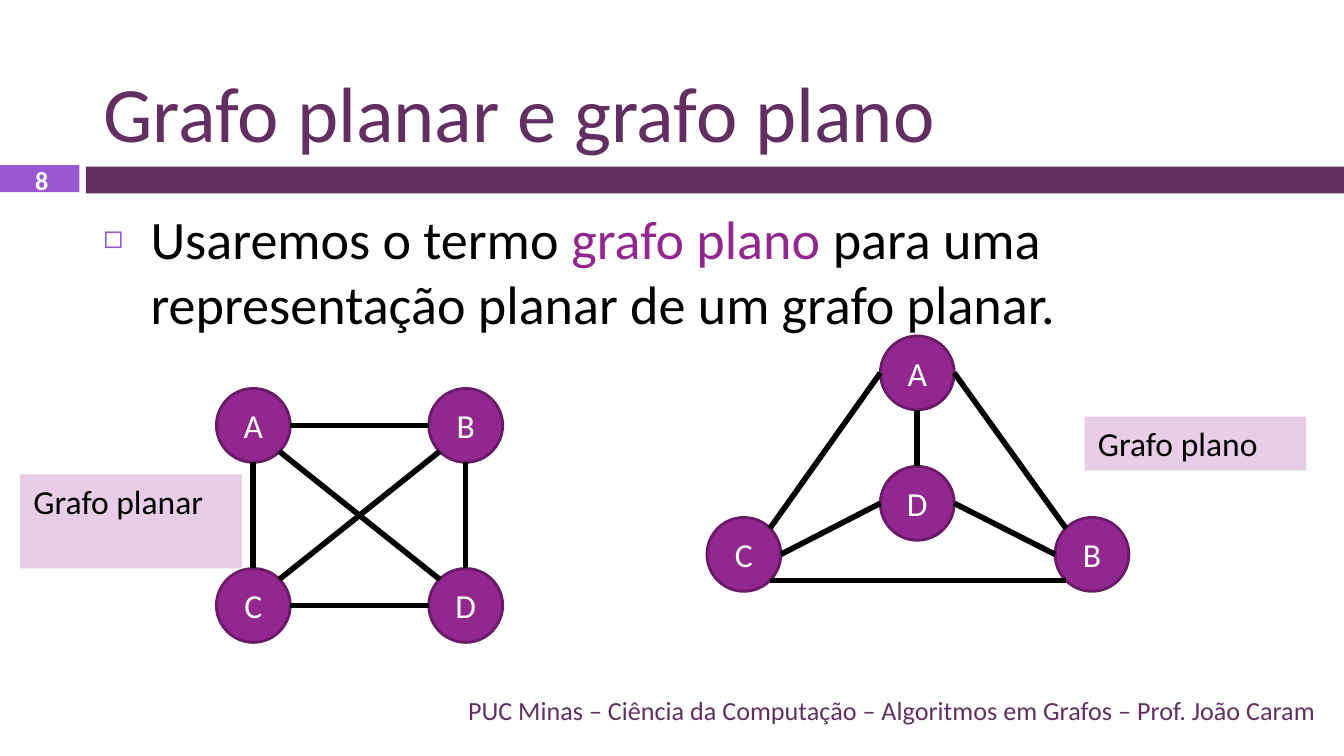
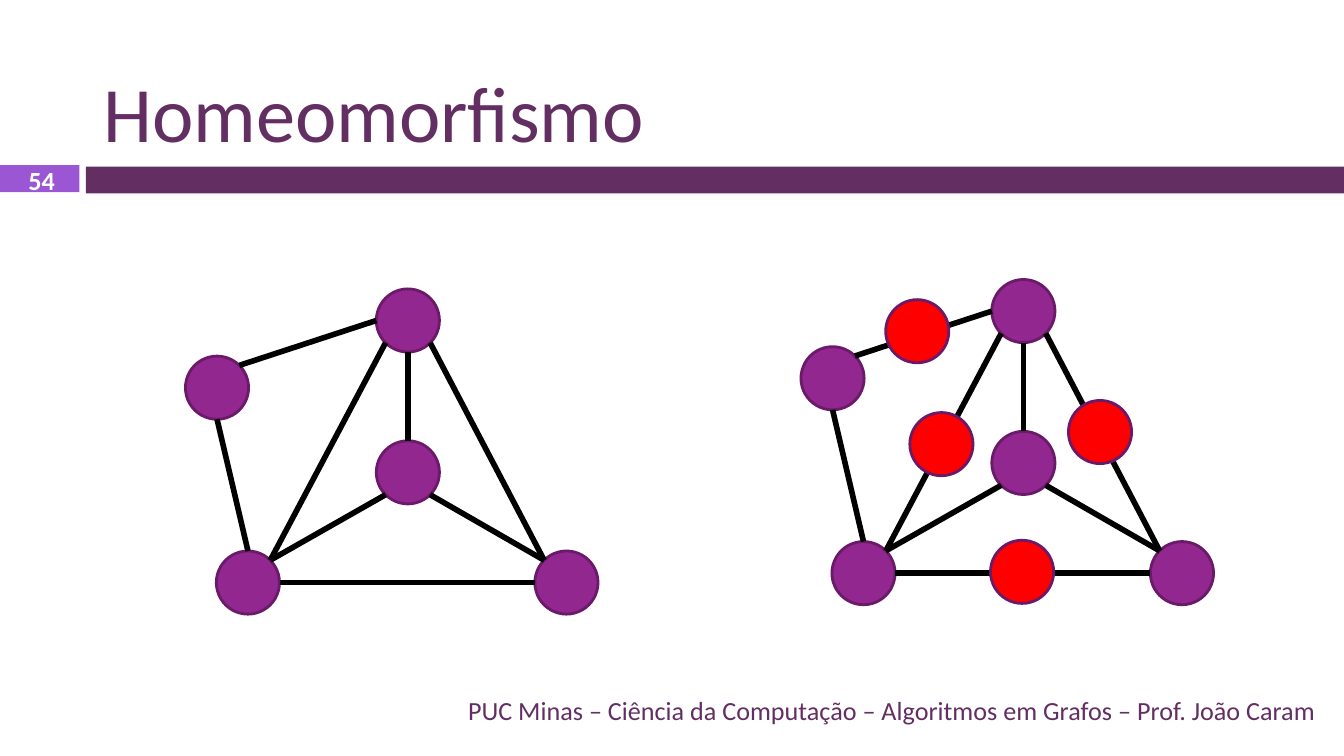
"""Builds two slides on planar graphs and homeomorphism."""
from math import sqrt

from lxml.etree import SubElement
from pptx import Presentation
from pptx.dml.color import RGBColor
from pptx.enum.shapes import MSO_CONNECTOR, MSO_SHAPE
from pptx.enum.text import MSO_ANCHOR, MSO_AUTO_SIZE, PP_ALIGN
from pptx.oxml.ns import qn
from pptx.util import Inches, Pt

FONT = "Calibri"
PLUM, PURPLE, VIOLET = "632E62", "92278F", "9B57D3"
OUTLINE, PINK, RED = "6A1A68", "E8CDE7", "FF0000"
BLACK, WHITE = "000000", "FFFFFF"

FOOTER = "PUC Minas – Ciência da Computação – Algoritmos em Grafos – Prof. João Caram"
BANDS = [((0.64, 1.24, 9.37, 0.2), PLUM), ((0, 1.23, 0.59, 0.2), VIOLET)]
TITLE_BOX = (0.67, 0.13, 9.22, 1.1)
BODY_BOX = (0.67, 1.48, 9.22, 3.58)
NUMBER_BOX = (0.02, 1.24, 0.58, 0.2)
FOOTER_BOX = (0.67, 5.13, 9.22, 0.3)

DIAGONAL = 1 / sqrt(2)
DIRECTIONS = {
    "n": (0, -1), "s": (0, 1), "w": (-1, 0), "e": (1, 0),
    "nw": (-DIAGONAL, -DIAGONAL), "ne": (DIAGONAL, -DIAGONAL),
    "sw": (-DIAGONAL, DIAGONAL), "se": (DIAGONAL, DIAGONAL),
}

BODY_RUNS = [
    ("Usaremos o termo ", BLACK),
    ("grafo plano", PURPLE),
    (" para uma representação planar de um grafo planar.", BLACK),
]
LABELED_SIZE, PLAIN_SIZE = 0.55, 0.47
CROSSED_NODES = {"A": (1.61, 2.89), "B": (3.19, 2.89), "C": (1.61, 4.23), "D": (3.19, 4.23)}
CROSSED_EDGES = [
    ("B", "sw", "C", "ne"), ("A", "se", "D", "nw"), ("B", "s", "D", "n"),
    ("D", "w", "C", "e"), ("B", "w", "A", "e"), ("C", "n", "A", "s"),
]
PLANE_NODES = {"A": (6.55, 2.5), "B": (7.85, 3.85), "C": (5.26, 3.85), "D": (6.55, 3.47)}
PLANE_EDGES = [
    ("B", "sw", "C", "se"), ("A", "s", "D", "n"), ("B", "w", "D", "e"),
    ("D", "w", "C", "e"), ("B", "nw", "A", "e"), ("C", "ne", "A", "w"),
]
GRAPH_LABELS = [
    ("Grafo planar", (0.15, 3.53, 1.65, 0.7)),
    ("Grafo plano", (8.07, 3.1, 1.65, 0.4)),
]

BASE_NODES = {
    "top": (2.8, 2.15), "center": (2.8, 3.28), "right": (3.98, 4.1),
    "left": (1.61, 4.1), "outer": (1.38, 2.65),
}
BASE_EDGES = [
    ("left", "ne", "center", "sw"), ("left", "e", "right", "w"),
    ("center", "se", "right", "nw"), ("center", "n", "top", "s"),
    ("left", "ne", "top", "sw"), ("right", "nw", "top", "se"),
    ("outer", "ne", "top", "w"), ("left", "n", "outer", "s"),
]
SUBDIVIDED_SHIFT = (4.58, -0.07)
SUBDIVISION_NODES = [(7.95, 2.98), (7.37, 4.02), (6.59, 2.23), (6.77, 3.07)]


def color(value):
    """Turn a hex string into a colour."""
    return RGBColor.from_string(value)


def inches(values):
    """Convert a sequence of numbers to lengths."""
    return [Inches(value) for value in values]


def style(paragraph, size, hex_color, alignment=PP_ALIGN.LEFT, bold=False):
    """Set the font and alignment of a paragraph."""
    paragraph.alignment = alignment
    font = paragraph.font
    font.name, font.size, font.bold = FONT, Pt(size), bold
    font.color.rgb = color(hex_color)


def add_filled(slide, kind, box, fill, line=None):
    """Add a flat shape with an optional outline."""
    shape = slide.shapes.add_shape(kind, *inches(box))
    shape.shadow.inherit = False
    shape.fill.solid()
    shape.fill.fore_color.rgb = color(fill)
    if line:
        shape.line.color.rgb = color(line)
        shape.line.width = Pt(1.5)
    else:
        shape.line.fill.background()
    return shape


def write(shape, text, size, hex_color, alignment, anchor=MSO_ANCHOR.MIDDLE, bold=False):
    """Put one styled paragraph in a shape."""
    frame = shape.text_frame
    frame.word_wrap = True
    frame.vertical_anchor = anchor
    frame.text = text
    style(frame.paragraphs[0], size, hex_color, alignment, bold)


def place(placeholder, box, anchor):
    """Move a placeholder and fix its text size and anchor."""
    placeholder.left, placeholder.top, placeholder.width, placeholder.height = inches(box)
    placeholder.text_frame.auto_size = MSO_AUTO_SIZE.NONE
    placeholder.text_frame.vertical_anchor = anchor


def add_slide(presentation, layout, title, number):
    """Add a slide with its title, bands, number and footer."""
    slide = presentation.slides.add_slide(presentation.slide_layouts[layout])
    for box, fill in BANDS:
        add_filled(slide, MSO_SHAPE.RECTANGLE, box, fill)
    place(slide.shapes.title, TITLE_BOX, MSO_ANCHOR.BOTTOM)
    write(slide.shapes.title, title, 42, PLUM, PP_ALIGN.LEFT, MSO_ANCHOR.BOTTOM)
    number_box = slide.shapes.add_textbox(*inches(NUMBER_BOX))
    write(number_box, str(number), 14, WHITE, PP_ALIGN.CENTER, bold=True)
    footer = slide.shapes.add_textbox(*inches(FOOTER_BOX))
    write(footer, FOOTER, 14, PLUM, PP_ALIGN.RIGHT)
    return slide


def fill_body(body):
    """Write the bulleted sentence in the body placeholder."""
    place(body, BODY_BOX, MSO_ANCHOR.TOP)
    paragraph = body.text_frame.paragraphs[0]
    properties = paragraph._p.get_or_add_pPr()
    properties.set("marL", str(Inches(0.35)))
    properties.set("indent", str(-Inches(0.35)))
    SubElement(SubElement(properties, qn("a:buClr")), qn("a:srgbClr"), val=VIOLET)
    SubElement(properties, qn("a:buSzPct"), val="60000")
    SubElement(properties, qn("a:buChar"), char="◻")
    paragraph.space_before = Pt(0)
    style(paragraph, 29, BLACK)
    for text, hex_color in BODY_RUNS:
        run = paragraph.add_run()
        run.text = text
        run.font.color.rgb = color(hex_color)


def add_node(slide, position, size, fill=PURPLE):
    """Add a graph vertex."""
    return add_filled(slide, MSO_SHAPE.OVAL, (*position, size, size), fill, OUTLINE)


def rim_point(position, size, direction):
    """Find the point of a vertex's rim in a compass direction."""
    return [start + size / 2 * (1 + step) for start, step in zip(position, DIRECTIONS[direction])]


def add_graph(slide, nodes, edges, size, labeled=False):
    """Add vertices and the edges between their rims."""
    for name, position in nodes.items():
        node = add_node(slide, position, size)
        if labeled:
            write(node, name, 18, WHITE, PP_ALIGN.CENTER)
    for start, start_side, end, end_side in edges:
        ends = rim_point(nodes[start], size, start_side) + rim_point(nodes[end], size, end_side)
        edge = slide.shapes.add_connector(MSO_CONNECTOR.STRAIGHT, *inches(ends))
        edge.line.color.rgb = color(BLACK)
        edge.line.width = Pt(3)
        SubElement(edge._element.spPr, qn("a:effectLst"))


def build_planar_slide(presentation):
    """Build the slide comparing a planar graph with a plane graph."""
    slide = add_slide(presentation, 1, "Grafo planar e grafo plano", 8)
    fill_body(slide.placeholders[1])
    add_graph(slide, CROSSED_NODES, CROSSED_EDGES, LABELED_SIZE, labeled=True)
    add_graph(slide, PLANE_NODES, PLANE_EDGES, LABELED_SIZE, labeled=True)
    for text, box in GRAPH_LABELS:
        label = add_filled(slide, MSO_SHAPE.RECTANGLE, box, PINK)
        write(label, text, 18, BLACK, PP_ALIGN.LEFT, MSO_ANCHOR.TOP)


def build_homeomorphism_slide(presentation):
    """Build the slide with a graph and its subdivision."""
    slide = add_slide(presentation, 5, "Homeomorfismo", 54)
    shift_x, shift_y = SUBDIVIDED_SHIFT
    shifted_nodes = {name: (x + shift_x, y + shift_y) for name, (x, y) in BASE_NODES.items()}
    for nodes in (BASE_NODES, shifted_nodes):
        add_graph(slide, nodes, BASE_EDGES, PLAIN_SIZE)
    for position in SUBDIVISION_NODES:
        add_node(slide, position, PLAIN_SIZE, RED)


def main():
    """Build and save the presentation."""
    presentation = Presentation()
    presentation.slide_width = Inches(10)
    presentation.slide_height = Inches(10 * 9 / 16)
    build_planar_slide(presentation)
    build_homeomorphism_slide(presentation)
    presentation.save("out.pptx")


if __name__ == "__main__":
    main()
